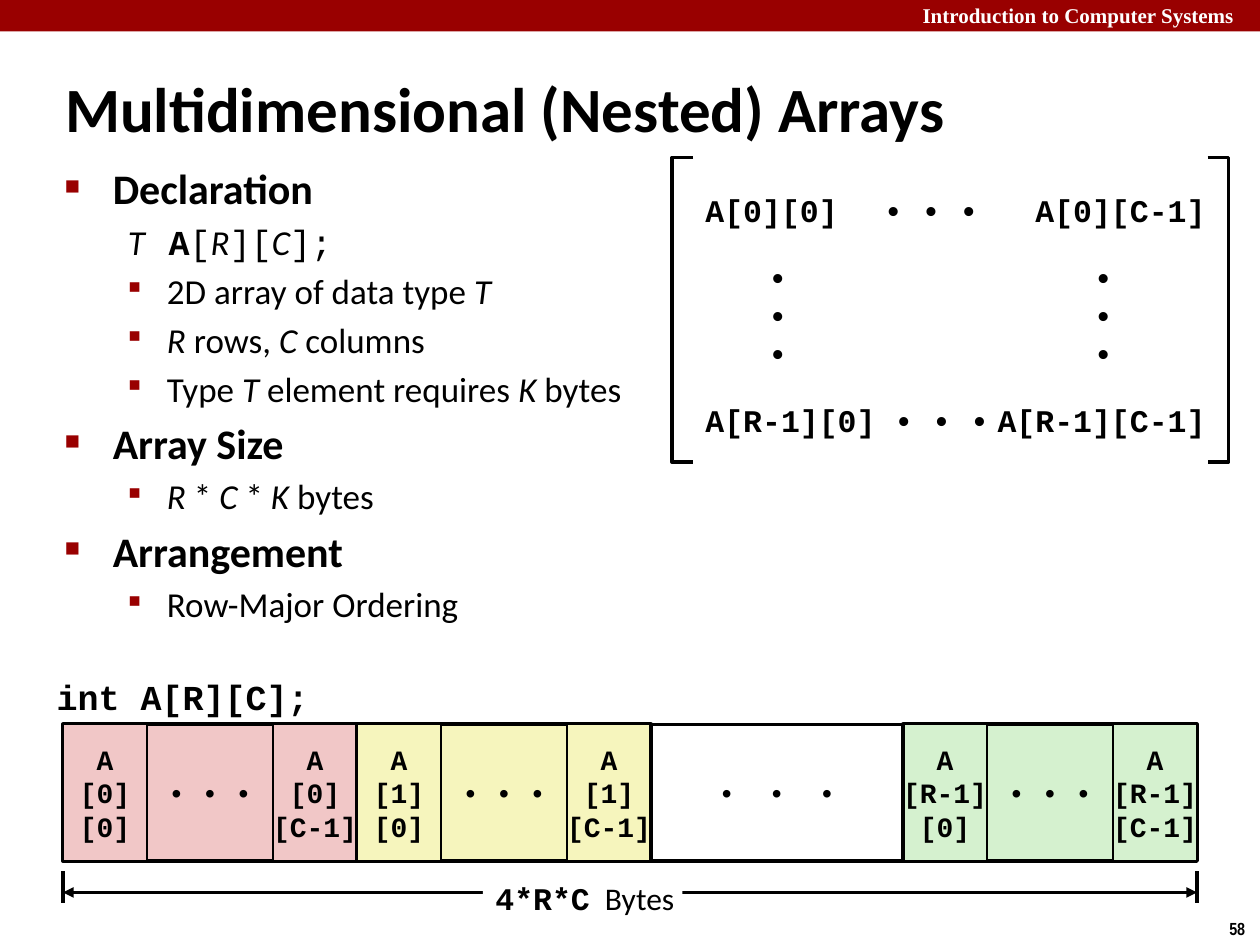
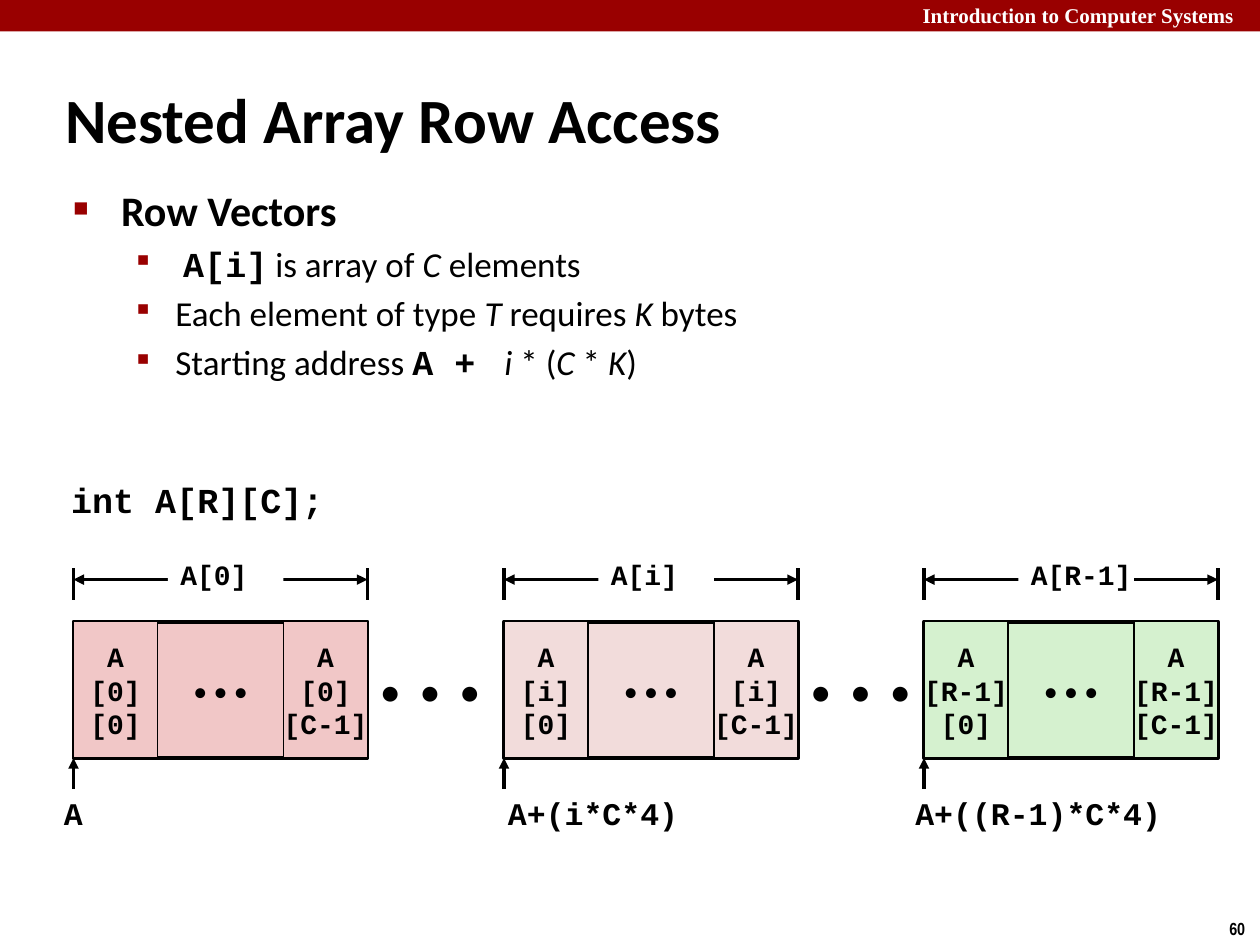
from pptx import Presentation
from pptx.dml.color import RGBColor as Rgb
from pptx.enum.shapes import MSO_CONNECTOR as Conn, MSO_SHAPE as Form
from pptx.enum.text import MSO_ANCHOR as Anchor, MSO_AUTO_SIZE as Auto, PP_ALIGN as Align
from pptx.oxml.ns import qn
from pptx.util import Inches, Pt
from lxml.etree import SubElement as Sub

HUES = {"red": "990000", "black": "000000", "white": "FFFFFF", "pink": "F1C7C7",
        "rose": "F2DCDB", "cream": "F6F5BD", "mint": "D5F1CF"}
INK = {name: Rgb.from_string(code) for name, code in HUES.items()}
SANS, MONO, SLIM = "Calibri", "Courier New", "Arial Narrow"
LEFT, MID, RIGHT = Align.LEFT, Align.CENTER, Align.RIGHT
DOTS = "• • •"

deck = Presentation()
deck.slide_width, deck.slide_height = Inches(10), Inches(7.5)
UNIT = deck.slide_width / 120


def write(par, runs, size, hue="black", font=None, gap=0):
    for text, style in runs:
        run = par.add_run()
        run.text = text
        run.font.name = font or (MONO if "m" in style else SANS)
        run.font.size = Pt(size)
        run.font.bold = "b" in style
        run.font.italic = "i" in style
        run.font.color.rgb = INK[hue]
        wide = 450 if "w" in style else gap
        if wide:
            run._r.get_or_add_rPr().set("spc", str(wide))


def put(page, box, rows, size=18, align=LEFT, fill=None, edge=0, style="mb",
        anchor=Anchor.MIDDLE, wrap=False, **look):
    place = [round(n * UNIT) for n in box]
    if fill:
        shape = page.shapes.add_shape(Form.RECTANGLE, *place)
        shape.shadow.inherit = False
        shape.fill.solid()
        shape.fill.fore_color.rgb = INK[fill]
        if edge:
            shape.line.color.rgb = INK["black"]
            shape.line.width = Pt(edge)
        else:
            shape.line.fill.background()
    else:
        shape = page.shapes.add_textbox(*place)
    frame = shape.text_frame
    frame.word_wrap = wrap
    frame.vertical_anchor = anchor
    for num, row in enumerate(rows):
        par = frame.add_paragraph() if num else frame.paragraphs[0]
        par.alignment = align
        write(par, [(row, style)] if isinstance(row, str) else row, size, **look)


outline = [
    (0, [("Declaration", "b")]),
    (2, [("T ", "iw"), ("A", "mb"), ("[", "m"), ("R", "i"), ("][", "m"),
         ("C", "i"), ("];", "m")]),
    (1, [("2D array of data type ", ""), ("T", "i")]),
    (1, [("R", "i"), (" rows, ", ""), ("C", "i"), (" columns", "")]),
    (1, [("Type ", ""), ("T", "i"), (" element requires ", ""), ("K", "i"),
         (" bytes", "")]),
    (0, [("Array Size", "b")]),
    (1, [("R", "i"), (" * ", ""), ("C ", "i"), ("* ", ""), ("K ", "i"), ("bytes", "")]),
    (0, [("Arrangement", "b")]),
    (1, [("Row-Major Ordering", "")])]
access = [
    (0, [("Row Vectors", "b")]),
    (1, [(" ", ""), ("A[i]", "mb"), (" is array of ", ""), ("C", "i"), (" elements", "")]),
    (1, [("Each element of type ", ""), ("T ", "i"), ("requires ", ""), ("K ", "i"),
         ("bytes", "")]),
    (1, [("Starting address ", ""), ("A + ", "mb"), (" i", "i"), (" * (", ""),
         ("C ", "i"), ("* ", ""), ("K", "i"), (")", "")])]
plan = [
    ("Multidimensional (Nested) Arrays", "58", (5, 6.5, 106, 7.5),
     (5, 14.9, 58.2, 44.2), outline, (4.2, 63.7)),
    ("Nested Array Row Access", "60", (5, 7.5, 91, 7.5),
     (5.8, 17, 78.2, 19), access, (5.6, 45))]

pages = []
for name, number, head, body, points, code in plan:
    page = deck.slides.add_slide(deck.slide_layouts[5])
    pages.append(page)
    put(page, (0, 0, 120, 3), [], fill="red")
    put(page, (70.4, -0.3, 48.8, 3.6), ["Introduction to Computer Systems "], 12, RIGHT,
        style="b", anchor=Anchor.TOP, wrap=True, hue="white", font="Times New Roman")
    put(page, (115.9, 86.8, 4.1, 3.2), [number], 10, style="b", anchor=Anchor.TOP,
        font=SLIM)

    title = page.shapes.title
    title.left, title.top, title.width, title.height = [round(n * UNIT) for n in head]
    title.text_frame.auto_size = Auto.NONE
    title.text_frame.vertical_anchor = Anchor.MIDDLE
    title.text_frame.paragraphs[0].alignment = LEFT
    write(title.text_frame.paragraphs[0], [(name, "b")], 36)

    frame = page.shapes.add_textbox(*[round(n * UNIT) for n in body]).text_frame
    frame.word_wrap = True
    for num, (kind, runs) in enumerate(points):
        par = frame.add_paragraph() if num else frame.paragraphs[0]
        size = 20 if kind else 24
        if num:
            par.space_before = Pt(size * 0.2)
        props = par._p.get_or_add_pPr()
        edge, shift = [(0.38, -0.38), (0.81, -0.31), (0.5, 0)][kind]
        props.set("marL", str(Inches(edge)))
        props.set("indent", str(Inches(shift)))
        if kind == 2:
            Sub(props, qn("a:buNone"))
        else:
            tint = Sub(props, qn("a:buClr"))
            Sub(tint, qn("a:srgbClr"), val=HUES["red"])
            Sub(props, qn("a:buSzPct"), val=["60000", "110000"][kind])
            Sub(props, qn("a:buFont"), typeface=SLIM)
            Sub(props, qn("a:buChar"), char="■▪"[kind])
        write(par, runs, size)

    put(page, (*code, 34, 5.2), ["int A[R][C];"], 20, anchor=Anchor.TOP)

first, second = pages

for y, row, gap in [(17, "0", 83), (37, "R-1", 84)]:
    put(first, (66, y, 20, 6), [f"A[{row}][0]"])
    put(first, (gap, y, 14, 6), [DOTS])
    put(first, (92, y, 24, 6), [f"A[{row}][C-1]"], align=RIGHT)
for x in (72, 103):
    put(first, (x, 25, 6, 10), ["•"] * 3)
for tip, back in [(66, 64), (115, 117)]:
    pen = first.shapes.build_freeform(tip, 15, scale=UNIT)
    pen.add_line_segments([(back, 15), (back, 44), (tip, 44)], close=False)
    hook = pen.convert_to_shape()
    hook.shadow.inherit = False
    hook.fill.background()
    hook.line.color.rgb = INK["black"]
    hook.line.width = Pt(2)

for x in (35, 76):
    put(second, (x, 59.2, 13, 13), [DOTS], 24, fill="white", style="", gap=270)

blocks = [(first, 6, 69, "pink", "0", "m"), (first, 34, 69, "cream", "1", "m"),
          (first, 86, 69, "mint", "R-1", "m"), (second, 7, 59.2, "pink", "0", ""),
          (second, 48, 59.2, "rose", "i", ""), (second, 88, 59.2, "mint", "R-1", "")]
for page, x, y, hue, row, style in blocks:
    put(page, (x, y, 28, 13), [DOTS], 16, MID, hue, 2.25, style)
    for step, col in [(0, "0"), (20, "C-1")]:
        put(page, (x + step, y, 8, 13), ["A", f"[{row}]", f"[{col}]"], 16, MID, hue, 1)
put(first, (62, 69, 24, 13), [DOTS], 16, MID, "white", 2, "m", gap=480)

total = [("4*R*C", "mb"), (" ", "w"), ("Bytes", "")]
spans = [(first, 6, 108, 83, 2, (46, 83, 19, 5), total, 18)]
for page, x, y, hue, row, style in blocks[3:]:
    spans.append((page, x, 28, 54.1, 1.1, (x + 9, 52.2, 11, 5), f"A[{row}]", 16))
lines = [(second, x, 75.1, x, 72.2, ["tail"]) for page, x, *rest in blocks[3:]]
for page, x, wide, y, drop, box, label, size in spans:
    for end in (x, x + wide):
        lines.append((page, end, y, end, y + 3, []))
    lines.append((page, x, y + drop, x + wide, y + drop, ["head", "tail"]))
for page, *ends, tips in lines:
    line = page.shapes.add_connector(Conn.STRAIGHT, *[round(n * UNIT) for n in ends])
    line.line.color.rgb = INK["black"]
    line.line.width = Pt(2)
    for tip in tips:
        Sub(line.line._get_or_add_ln(), qn(f"a:{tip}End"), type="triangle")
    Sub(line._element.spPr, qn("a:effectLst"))
for page, x, wide, y, drop, box, label, size in spans:
    put(page, box, [label], size, fill="white")

for x, wide, label in [(4.9, 5.2, "A"), (47.2, 23.8, "A+(i*C*4)"),
                       (86, 30, "A+((R-1)*C*4)")]:
    put(second, (x, 75, wide, 4.8), [label], anchor=Anchor.TOP)

deck.save("out.pptx")
